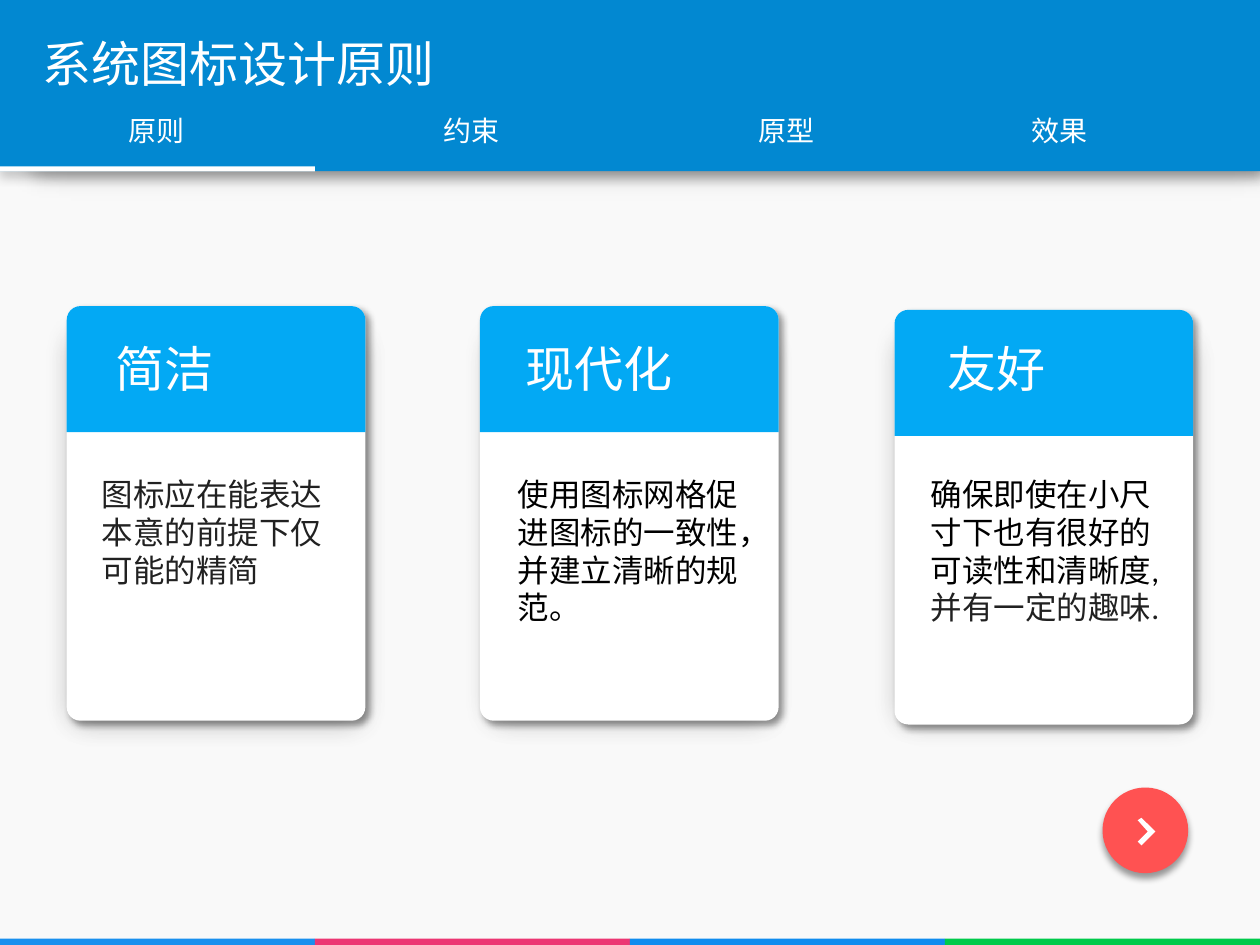
from lxml import etree
from pptx import Presentation
from pptx.dml.color import RGBColor
from pptx.enum import shapes, text
from pptx.oxml import ns
from pptx.util import Inches, Pt

SANS = "Noto Sans CJK SC"


def add_block(parent, kind, box, color, shadow=None, alpha=None, soft=None):
    block = parent.shapes.add_shape(kind, *map(Inches, box))
    block.shadow.inherit = False
    block.fill.solid()
    block.fill.fore_color.rgb = RGBColor.from_string(color)
    block.line.fill.background()
    effects = block._element.spPr.find(ns.qn("a:effectLst"))
    if alpha:
        tint = block._element.spPr.find(ns.qn("a:solidFill"))[0]
        etree.SubElement(tint, ns.qn("a:alpha"), val=str(alpha * 1000))
    if shadow:
        opacity, blur, distance, angle = shadow
        outer = etree.SubElement(
            effects, ns.qn("a:outerShdw"), blurRad=str(Pt(blur)),
            dist=str(Pt(distance)), dir=str(angle * 60000), algn="t", rotWithShape="0")
        shade = etree.SubElement(outer, ns.qn("a:srgbClr"), val="000000")
        etree.SubElement(shade, ns.qn("a:alpha"), val=str(opacity * 1000))
    if soft:
        etree.SubElement(effects, ns.qn("a:softEdge"), rad=str(Pt(soft)))
    return block


def add_text(parent, box, lines, size, font=SANS, wrap=False):
    label = parent.shapes.add_textbox(*map(Inches, box))
    frame = label.text_frame
    frame.word_wrap = wrap
    frame.auto_size = text.MSO_AUTO_SIZE.SHAPE_TO_FIT_TEXT
    frame.text = "\n".join(line for line, color in lines)
    for paragraph, (line, color) in zip(frame.paragraphs, lines):
        run = paragraph.runs[0]
        run.font.size = Pt(size)
        run.font.name = font
        run.font.color.rgb = RGBColor.from_string(color)
        if font == SANS:
            etree.SubElement(run.font._element, ns.qn("a:ea"), typeface=font)


deck = Presentation()
deck.slide_width, deck.slide_height = Inches(10), Inches(7.5)
slide = deck.slides.add_slide(deck.slide_layouts[6])
slide.background.fill.solid()
slide.background.fill.fore_color.rgb = RGBColor.from_string("F9F9F9")
kinds = shapes.MSO_SHAPE

add_block(slide, kinds.RECTANGLE, (0, 0, 10.31, 1.58), "000000", (20, 6, 3, 90), alpha=20, soft=12)
add_block(slide, kinds.RECTANGLE, (0, 0, 10, 1.36), "0288D1", (20, 6, 3, 90))
add_text(slide, (0.24, 0.22, 4.32, 0.57), [("系统图标设计原则", "FFFFFF")], 28)

footer = slide.shapes.add_group_shape()
for index, color in enumerate(["1990EE", "EC3673", "108CEE", "00CA4B"]):
    add_block(footer, kinds.RECTANGLE, (2.5 * index, 7.45, 2.5, 0.05), color)

next_button = slide.shapes.add_group_shape()
add_block(next_button, kinds.OVAL, (8.75, 6.25, 0.68, 0.68), "FF5252", (40, 4, 3, 90))
outline = [(9.03, 6.68), (9.11, 6.6), (9.03, 6.51), (9.06, 6.49), (9.17, 6.6), (9.06, 6.71)]
points = [(Inches(x), Inches(y)) for x, y in outline]
builder = next_button.shapes.build_freeform(*points[0])
builder.add_line_segments(points[1:], close=True)
chevron = builder.convert_to_shape()
chevron.shadow.inherit = False
chevron.fill.solid()
chevron.fill.fore_color.rgb = RGBColor.from_string("FFFFFF")
chevron.line.fill.background()

for left, tab in [(0.92, "原则"), (3.42, "约束"), (5.92, "原型"), (8.09, "效果")]:
    add_text(slide, (left, 0.85, 0.66, 0.37), [(tab, "FFFFFF")], 16)
add_block(slide, kinds.RECTANGLE, (0, 1.32, 2.5, 0.04), "FFFFFF")

cards = [
    (0.53, 2.43, (0.33, 2.43, 2.75, 3.52), "简洁", (0.82, 0.99), (0.71, 1.01),
     [("图标应在能表达本意的前提下仅可能的精简", "212121")]),
    (3.81, 2.43, (3.66, 2.45, 2.65, 3.48), "现代化", (4.07, 1.57), (4.01, 1.31),
     [("使用图标网格促进图标的一致性，并建立清晰的规范。", "000000")]),
    (7.1, 2.46, (6.91, 2.46, 2.75, 3.48), "友好", (7.42, 0.99), (7.29, 1.31),
     [("确保即使在小尺寸下也有很好的可读性和清晰度,", "000000"), ("并有一定的趣味.", "212121")]),
]
card_shadow = (40, 4, 3, 45)
for left, top, halo, heading, (heading_left, heading_width), (body_left, body_height), body in cards:
    card = slide.shapes.add_group_shape()
    glow = add_block(card, kinds.ROUNDED_RECTANGLE, halo, "000000", card_shadow, alpha=20, soft=16)
    panel = add_block(card, kinds.ROUNDED_RECTANGLE, (left, top, 2.37, 3.29), "FFFFFF", card_shadow)
    glow.adjustments[0] = panel.adjustments[0] = 0.046
    header = add_block(card, kinds.ROUND_2_SAME_RECTANGLE, (left, top, 2.37, 1), "03A9F4")
    header.adjustments[0] = 0.109
    add_text(card, (heading_left, 2.64, heading_width, 0.57), [(heading, "FFFFFF")], 28)
    add_text(card, (body_left, 3.72, 2, body_height), body, 18, "Calibri", wrap=True)

deck.save("out.pptx")
